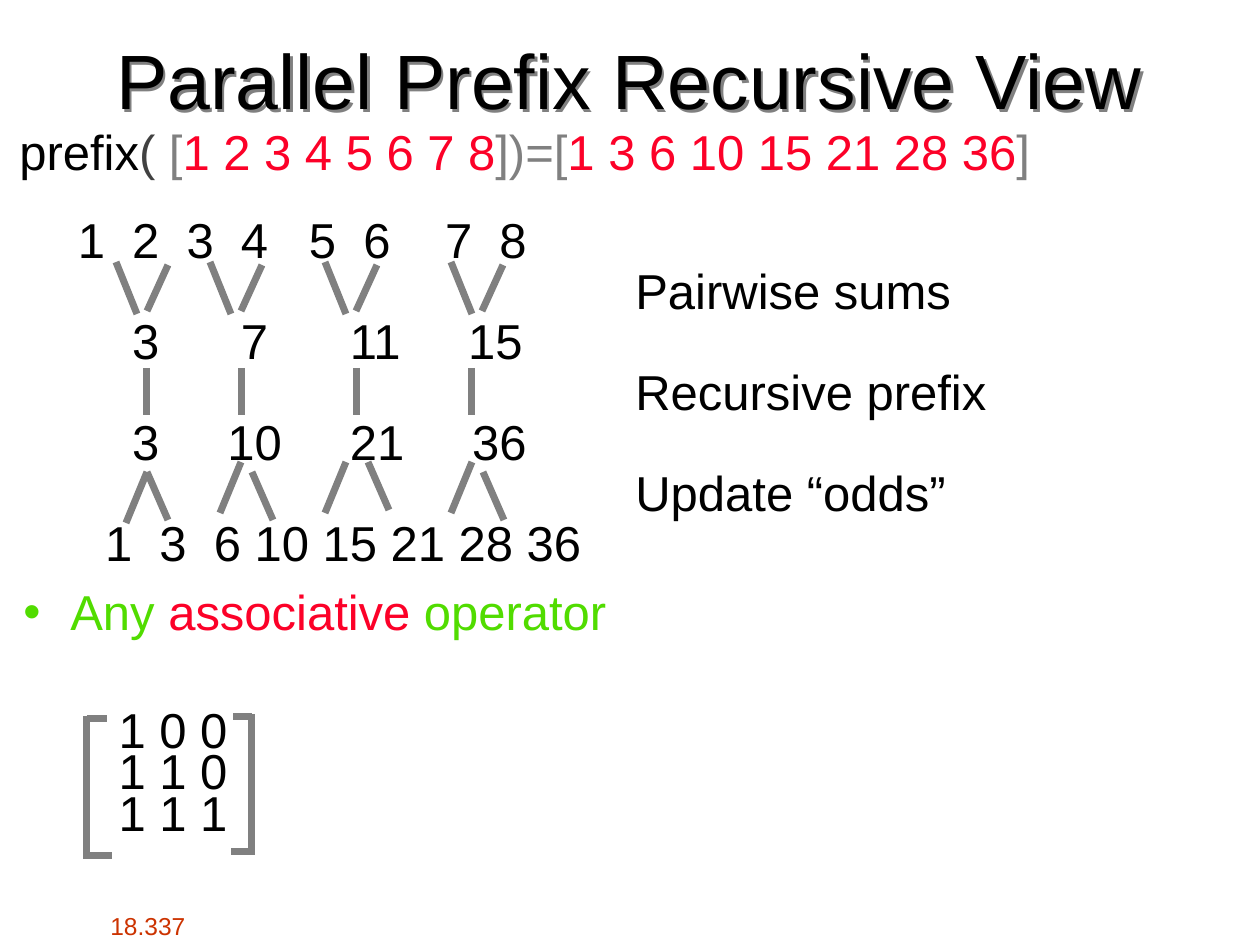
from lxml import etree
from pptx import Presentation, util as u
from pptx.dml.color import RGBColor
from pptx.enum import shapes, text
from pptx.oxml.ns import qn

PX = 914400 // 126
UNIT = 13.6  # half a digit of the 28 pt text
BLACK, GRAY, RED, GREEN = "000000", "808080", "FC0128", "51DC00"


def px(n):
    return u.Emu(round(n * PX))


def paint(font, hue):
    font.color.rgb = RGBColor.from_string(hue)


def style(font, size, hue=None):
    font.name, font.size = "Arial", u.Pt(size)
    if hue:
        paint(font, hue)


def box(slide, x, y, w, h, wrap=True):
    frame = slide.shapes.add_textbox(px(x), px(y), px(w), px(h)).text_frame
    frame.word_wrap = wrap
    return frame


def write(para, parts):
    for words, hue in parts:
        run = para.add_run()
        run.text = words
        paint(run.font, hue)
    style(para.font, 28)


def line(slide, x1, y1, x2, y2):
    link = slide.shapes.add_connector(
        shapes.MSO_CONNECTOR.STRAIGHT, px(x1), px(y1), px(x2), px(y2))
    paint(link.line, GRAY)
    link.line.width = u.Pt(4)
    etree.SubElement(link._element.spPr, qn("a:effectLst"))


def heading(slide, x, y, w, h):
    title = slide.shapes.title
    title.left, title.top, title.width, title.height = map(px, (x, y, w, h))
    frame = title.text_frame
    frame.text = "Parallel Prefix Recursive View"
    frame.vertical_anchor = text.MSO_ANCHOR.MIDDLE
    para = frame.paragraphs[0]
    para.alignment = text.PP_ALIGN.CENTER
    style(para.font, 44, BLACK)
    # Gray shadow behind the letters
    title.fill.background()
    glow = etree.SubElement(title._element.spPr, qn("a:effectLst"))
    cast = etree.SubElement(glow, qn("a:outerShdw"), dist="25400", dir="2700000")
    etree.SubElement(cast, qn("a:srgbClr"), val=GRAY)


def formula(slide, x, y, w, h):
    para = box(slide, x, y, w, h, False).paragraphs[0]
    write(para, [("prefix", BLACK), ("( ", "414141"), ("[", GRAY),
                 ("1 2 3 4 5 6 7 8", RED), ("])=[", GRAY),
                 ("1 3 6 10 15 21 28 36", RED), ("]", GRAY)])


def indent(para, left, hang=0):
    props = para._p.get_or_add_pPr()
    props.set("marL", str(px(left)))
    props.set("indent", str(-px(hang)))
    return props


def stops(para, units):
    # No indent here: it would override the tab stops
    tabs = etree.SubElement(para._p.get_or_add_pPr(), qn("a:tabLst"))
    for n in units:
        etree.SubElement(tabs, qn("a:tab"), pos=str(px(n * UNIT)), algn="l")


def body(slide, x, y, w, h):
    frame = box(slide, x, y, w, h)

    def add(tight, gap=7):
        first = not frame.paragraphs[0].runs
        para = frame.paragraphs[0] if first else frame.add_paragraph()
        para.line_spacing = tight
        para.space_before = u.Pt(0 if first else gap)
        return para

    # Number rows with their tab stops, each followed by its step
    rows = [
        ("1 2 3 4 5 6 7 8", (4, 8, 12, 16, 21, 25, 31, 35), "Pairwise sums"),
        ("3 7 11 15", (8, 16, 24, 32.7), "Recursive prefix"),
        ("3 10 21 36", (8, 15, 24, 33), "Update “odds”"),
        ("1 3 6 10 15 21 28 36", (6, 10, 14, 17, 22, 27, 32, 37), None),
    ]
    for nums, units, step in rows:
        para = add(0.65)
        stops(para, units)
        write(para, [("\t" + "\t".join(nums.split()), BLACK)])
        if step:
            para = add(0.65)
            indent(para, 45 * UNIT)
            write(para, [(step, BLACK)])

    # Bullet
    para = add(1.0)
    props = indent(para, 47, 47)
    hue = etree.SubElement(props, qn("a:buClr"))
    etree.SubElement(hue, qn("a:srgbClr"), val=GREEN)
    etree.SubElement(props, qn("a:buFont"), typeface="Arial")
    etree.SubElement(props, qn("a:buChar"), char="•")
    write(para, [("Any ", GREEN), ("associative", RED), (" operator", GREEN)])

    # Matrix
    for row, gap in (("1 0 0", 48), ("1 1 0", 7), ("1 1 1", 7)):
        para = add(0.5, gap)
        indent(para, 7 * UNIT)
        write(para, [(row, BLACK)])


def tree(slide, x, y):
    # Pairs joining downward
    for dx in (0, 94, 209, 335):
        line(slide, x + dx, y, x + dx + 21, y + 52)
        line(slide, x + dx + 31, y + 49, x + dx + 52, y + 3)
    # Stems
    for dx in (31, 126, 241, 356):
        line(slide, x + dx, y + 106, x + dx, y + 153)
    # Arms spreading to the last row
    for dx, dy in ((10, 210), (104, 200), (209, 200), (335, 200)):
        line(slide, x + dx, y + dy + 51, x + dx + 21, y + dy)
    for dx, dy in ((31, 210), (136, 210), (252, 200), (367, 210)):
        line(slide, x + dx, y + dy, x + dx + 21, y + dy + 48)


def bracket(slide, x, y, h, top, foot):
    line(slide, x, y, x, y + h)
    for arm, at in ((top, y + 3), (foot, y + h - 3)):
        line(slide, x, at, x + arm, at)


def main():
    deck = Presentation()
    deck.slide_width, deck.slide_height = px(1260), px(945)
    slide = deck.slides.add_slide(deck.slide_layouts[5])
    heading(slide, 94, 0, 1071, 158)
    formula(slide, 7, 115, 1130, 71)
    body(slide, 11, 222, 1221, 700)
    bracket(slide, 87, 716, 143, 20, 25)
    bracket(slide, 252, 714, 141, -19, -21)
    tree(slide, 116, 262)
    # Course number
    para = box(slide, 98, 905, 100, 40, False).paragraphs[0]
    para.add_run().text = "18.337"
    style(para.font, 14, "CC3300")
    deck.save("out.pptx")


if __name__ == "__main__":
    main()
